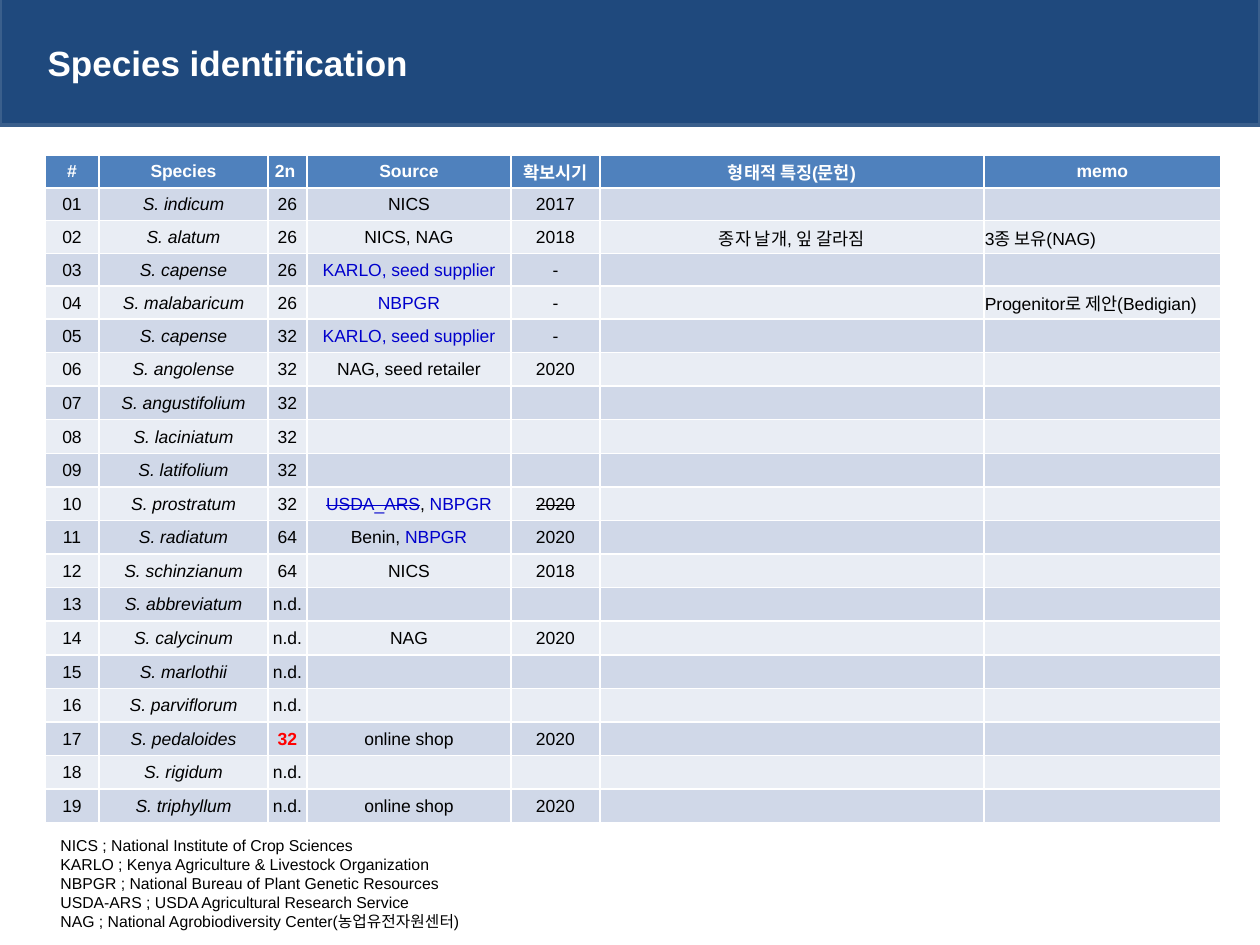
from dataclasses import dataclass

from pptx import Presentation
from pptx.dml.color import RGBColor
from pptx.enum.shapes import MSO_SHAPE
from pptx.enum.text import MSO_ANCHOR, MSO_AUTO_SIZE, PP_ALIGN
from pptx.util import Emu, Pt

EMU_PER_PX = 914400 // 126


def px(n):
    return Emu(n * EMU_PER_PX)


@dataclass(frozen=True)
class Theme:
    font: str = "Arial"
    title_size: int = 20
    table_size: int = 10
    note_size: int = 9
    white: str = "FFFFFF"
    ink: str = "000000"
    wanted: str = "0000CC"
    alert: str = "FF0000"
    banner: str = "1F497D"
    banner_line: str = "3A5F8C"
    header: str = "4F81BD"
    bands: tuple = ("D0D8E8", "E9EDF4")


T = Theme()


def blue(text):
    return text, {"color": T.wanted}


STRUCK_BLUE = {"color": T.wanted, "strike": True}
SEED_SHOPS = [blue("KARLO, seed supplier")]
HEADERS = ["#", "Species", "2n ", "Source", "확보시기", "형태적 특징(문헌)", "memo"]
COL_WIDTHS = [54, 169, 39, 204, 89, 384, 237]
ITALIC_COL, MEMO_COL = 1, 6
# Species, 2n, source, date, traits, memo; a list holds (text, style) runs.
SPECIES = [
    ("S. indicum", "26", "NICS", "2017"),
    ("S. alatum", "26", "NICS, NAG", "2018", "종자 날개, 잎 갈라짐", "3종 보유(NAG)"),
    ("S. capense", "26", SEED_SHOPS, "-"),
    ("S. malabaricum", "26", [blue("NBPGR")], "-", "", "Progenitor로 제안(Bedigian)"),
    ("S. capense", "32", SEED_SHOPS, "-"),
    ("S. angolense", "32", "NAG, seed retailer", "2020"),
    ("S. angustifolium", "32"),
    ("S. laciniatum", "32"),
    ("S. latifolium", "32"),
    ("S. prostratum", "32", [("USDA_ARS", STRUCK_BLUE), (", ", {}), blue("NBPGR")],
     [("2020", {"strike": True})]),
    ("S. radiatum", "64", [("Benin, ", {}), blue("NBPGR")], "2020"),
    ("S. schinzianum", "64", "NICS", "2018"),
    ("S. abbreviatum", "n.d."),
    ("S. calycinum", "n.d.", "NAG", "2020"),
    ("S. marlothii", "n.d."),
    ("S. parviflorum", "n.d."),
    ("S. pedaloides", [("32", {"color": T.alert, "bold": True})], "online shop", "2020"),
    ("S. rigidum", "n.d."),
    ("S. triphyllum", "n.d.", "online shop", "2020"),
]
NOTES = [
    "NICS ; National Institute of Crop Sciences",
    "KARLO ; Kenya Agriculture & Livestock Organization",
    "NBPGR ; National Bureau of Plant Genetic Resources",
    "USDA-ARS ; USDA Agricultural Research Service",
    "NAG ; National Agrobiodiversity Center(농업유전자원센터)",
]


def rgb(color):
    return RGBColor.from_string(color)


def style_run(r, size, color=T.ink, bold=False, italic=False, strike=False):
    f = r.font
    f.name, f.size, f.bold, f.italic = T.font, Pt(size), bold, italic
    f.color.rgb = rgb(color)
    if strike:
        f._element.set("strike", "sngStrike")


def add_banner(slide, x, y, w, h):
    sp = slide.shapes.add_shape(MSO_SHAPE.RECTANGLE, px(x), px(y), px(w), px(h))
    sp.shadow.inherit = False
    sp.fill.solid()
    sp.fill.fore_color.rgb = rgb(T.banner)
    sp.line.color.rgb = rgb(T.banner_line)
    sp.line.width = Pt(2)
    slide.shapes._spTree.insert(2, sp._element)  # behind the title

    title = slide.shapes.title
    title.left, title.top = px(x + 35), px(y + 23)
    title.width, title.height = px(1022), px(87)
    tf = title.text_frame
    tf.text = "Species identification"
    tf.vertical_anchor = MSO_ANCHOR.MIDDLE
    p = tf.paragraphs[0]
    p.alignment = PP_ALIGN.LEFT
    style_run(p.runs[0], T.title_size, T.white, bold=True)


def fill_cell(cell, content, fill, align=PP_ALIGN.CENTER, **base):
    cell.fill.solid()
    cell.fill.fore_color.rgb = rgb(fill)
    cell.vertical_anchor = MSO_ANCHOR.MIDDLE
    cell.margin_left = cell.margin_top = cell.margin_right = px(1)
    cell.margin_bottom = 0
    p = cell.text_frame.paragraphs[0]
    p.alignment = align
    if not content:  # keeps an empty row from growing
        end = p._p.get_or_add_endParaRPr()
        end.set("sz", str(T.table_size * 100))
    elif isinstance(content, str):
        content = [(content, {})]
    for text, style in content:
        r = p.add_run()
        r.text = text
        style_run(r, T.table_size, **{**base, **style})


def add_species_table(slide, x, y, w, h):
    n_rows = len(SPECIES) + 1
    table = slide.shapes.add_table(
        n_rows, len(HEADERS), px(x), px(y), px(w), px(h)).table
    for col, width in zip(table.columns, COL_WIDTHS):
        col.width = px(width)
    compact = 5  # the first rows are slightly lower than the rest
    for i, row in enumerate(table.rows):
        row.height = Emu(px(164) // compact if i < compact
                         else px(h - 164) // (n_rows - compact))

    for c, text in enumerate(HEADERS):
        fill_cell(table.cell(0, c), text, T.header, color=T.white, bold=True)
    for i, record in enumerate(SPECIES):
        values = [f"{i + 1:02d}", *record]
        values += [""] * (len(HEADERS) - len(values))
        for c, value in enumerate(values):
            align = PP_ALIGN.LEFT if c == MEMO_COL else PP_ALIGN.CENTER
            fill_cell(table.cell(i + 1, c), value, T.bands[i % 2], align,
                      italic=c == ITALIC_COL)


def add_notes_box(slide, x, y, w, h):
    tf = slide.shapes.add_textbox(px(x), px(y), px(w), px(h)).text_frame
    tf.word_wrap = True
    tf.auto_size = MSO_AUTO_SIZE.SHAPE_TO_FIT_TEXT
    tf.text = "\n".join(NOTES)
    for p in tf.paragraphs:
        style_run(p.runs[0], T.note_size)


def main():
    prs = Presentation()
    prs.slide_width, prs.slide_height = px(1260), px(945)
    slide = prs.slides.add_slide(prs.slide_layouts[5])
    add_banner(slide, 0, -4, 1260, 129)
    add_species_table(slide, 45, 155, sum(COL_WIDTHS), 668)
    add_notes_box(slide, 48, 830, 969, 108)
    prs.save("out.pptx")


if __name__ == "__main__":
    main()
